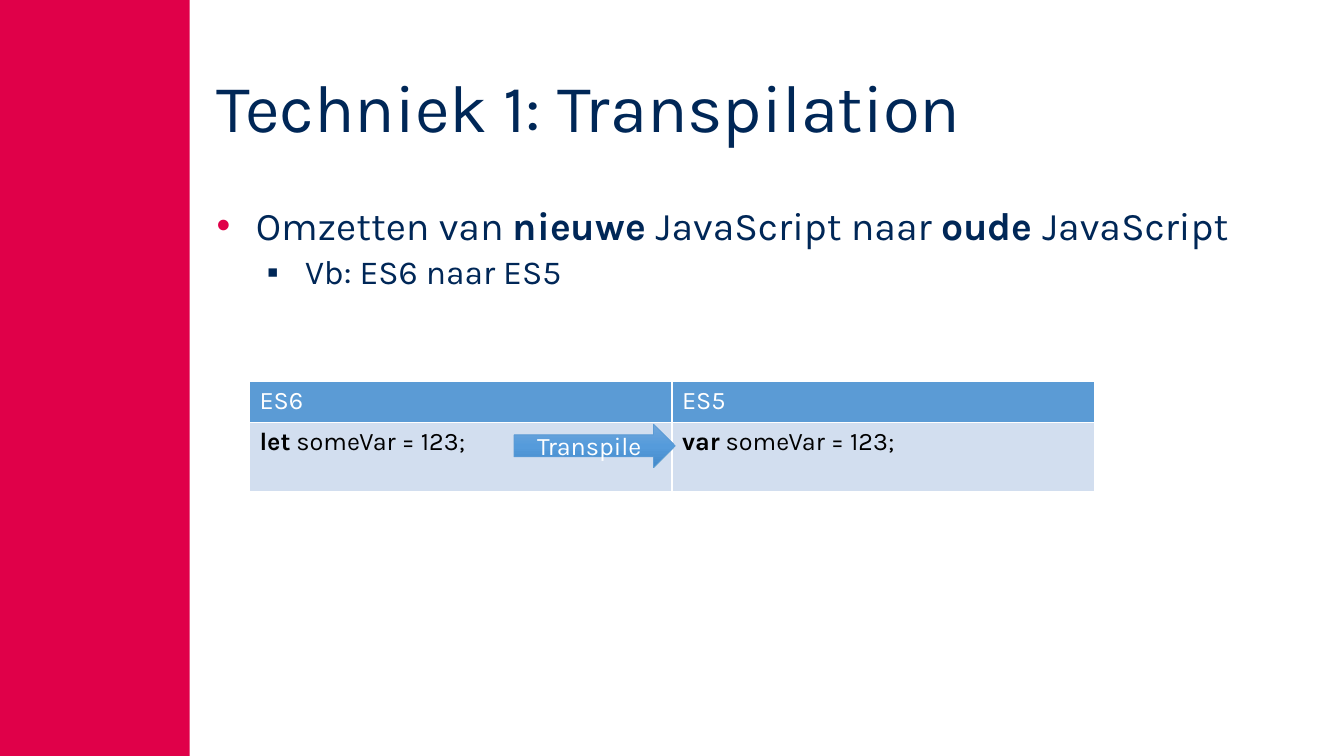
from pptx import Presentation
from pptx.dml.color import RGBColor
from pptx.enum.shapes import MSO_SHAPE
from pptx.enum.text import MSO_ANCHOR, MSO_AUTO_SIZE, PP_ALIGN
from pptx.util import Pt
from pptx.oxml import parse_xml
from pptx.oxml.ns import nsdecls
from copy import deepcopy

FONT = "Karla"
RED = RGBColor(0xE0, 0x00, 0x49)
NAVY = RGBColor(0x00, 0x27, 0x57)
WHITE = RGBColor(0xFF, 0xFF, 0xFF)
BLACK = RGBColor(0x00, 0x00, 0x00)
BLUE = RGBColor(0x5B, 0x9B, 0xD5)
PALE_BLUE = RGBColor(0xD2, 0xDE, 0xEF)
ARROW_STOPS = [RGBColor(0x71, 0xA6, 0xDB), RGBColor(0x55, 0x9B, 0xDB),
               RGBColor(0x44, 0x8A, 0xCA)]


def add_runs(p, runs, size, color):
    for text, bold in runs:
        r = p.add_run()
        r.text = text
        r.font.name = FONT
        r.font.size = Pt(size)
        r.font.bold = bold
        r.font.color.rgb = color


prs = Presentation()
prs.slide_width, prs.slide_height = Pt(960), Pt(540)
s = prs.slides.add_slide(prs.slide_layouts[5])

# Red side band
band = s.shapes.add_shape(MSO_SHAPE.RECTANGLE, Pt(0), Pt(0), Pt(135.5), Pt(540))
band.shadow.inherit = False
band.fill.solid()
band.fill.fore_color.rgb = RED
band.line.fill.background()

# Title
title = s.shapes.title
title.left, title.top, title.width, title.height = Pt(147.6), Pt(28.8), Pt(783.4), Pt(100.8)
tf = title.text_frame
tf.auto_size = MSO_AUTO_SIZE.NONE
tf.vertical_anchor = MSO_ANCHOR.MIDDLE
p = tf.paragraphs[0]
p.alignment = PP_ALIGN.LEFT
p.line_spacing = 0.9
add_runs(p, [("Techniek 1: Transpilation", False)], 48, NAVY)

# Bullets: runs, size, left margin, hanging indent, space before, symbol, symbol colour
bullets = [
    ([("Omzetten van ", False), ("nieuwe ", True), ("JavaScript naar ", False),
      ("oude ", True), ("JavaScript", False)], 28, 28, 28, 0, "•", RED),
    ([("Vb: ES6 naar ES5", False)], 24, 63.2, 27.2, 5, "▪", NAVY),
]
body = s.shapes.add_textbox(Pt(147.6), Pt(144), Pt(783.4), Pt(334))
tf = body.text_frame
tf.word_wrap = True
for i, (runs, size, margin, hanging, before, symbol, color) in enumerate(bullets):
    p = tf.add_paragraph() if i else tf.paragraphs[0]
    p.level = i
    pPr = p._p.get_or_add_pPr()
    pPr.set("marL", str(Pt(margin)))
    pPr.set("indent", str(-Pt(hanging)))
    pPr.append(parse_xml(f'<a:buClr {nsdecls("a")}><a:srgbClr val="{color}"/></a:buClr>'))
    pPr.append(parse_xml(f'<a:buFont {nsdecls("a")} typeface="Arial"/>'))
    pPr.append(parse_xml(f'<a:buChar {nsdecls("a")} char="{symbol}"/>'))
    p.line_spacing = 0.9
    p.space_before = Pt(before)
    add_runs(p, runs, size, NAVY)

# Code table
rows = [
    ([[("ES6", False)], [("ES5", False)]], 29.2, BLUE, WHITE),
    ([[("let", True), (" someVar = 123;", False)],
      [("var", True), (" someVar = 123;", False)]], 49.6, PALE_BLUE, BLACK),
]
table = s.shapes.add_table(2, 2, Pt(178.2), Pt(272.4), Pt(603.6), Pt(78.8)).table
for row, (cells, height, fill, color) in enumerate(rows):
    table.rows[row].height = Pt(height)
    for col, runs in enumerate(cells):
        cell = table.cell(row, col)
        cell.fill.solid()
        cell.fill.fore_color.rgb = fill
        add_runs(cell.text_frame.paragraphs[0], runs, 18, color)
        tcPr = cell._tc.get_or_add_tcPr()
        for i, side in enumerate(["lnL", "lnR", "lnT", "lnB"]):
            tcPr.insert(i, parse_xml(
                f'<a:{side} {nsdecls("a")} w="{Pt(1)}"><a:solidFill>'
                f'<a:srgbClr val="{WHITE}"/></a:solidFill></a:{side}>'))

# Transpile arrow
arrow = s.shapes.add_shape(MSO_SHAPE.RIGHT_ARROW, Pt(367.2), Pt(303), Pt(115.2), Pt(31))
arrow.shadow.inherit = False
arrow.fill.gradient()
arrow.fill.gradient_angle = 270
first = arrow.fill.gradient_stops[0]._gs
first.addnext(deepcopy(first))
for i, (stop, color) in enumerate(zip(arrow.fill.gradient_stops, ARROW_STOPS)):
    stop.position = i / 2
    stop.color.rgb = color
arrow.line.color.rgb = BLUE
arrow.line.width = Pt(0.5)
tf = arrow.text_frame
tf.vertical_anchor = MSO_ANCHOR.MIDDLE
p = tf.paragraphs[0]
p.alignment = PP_ALIGN.CENTER
add_runs(p, [("Transpile", False)], 18, WHITE)

prs.save("out.pptx")
